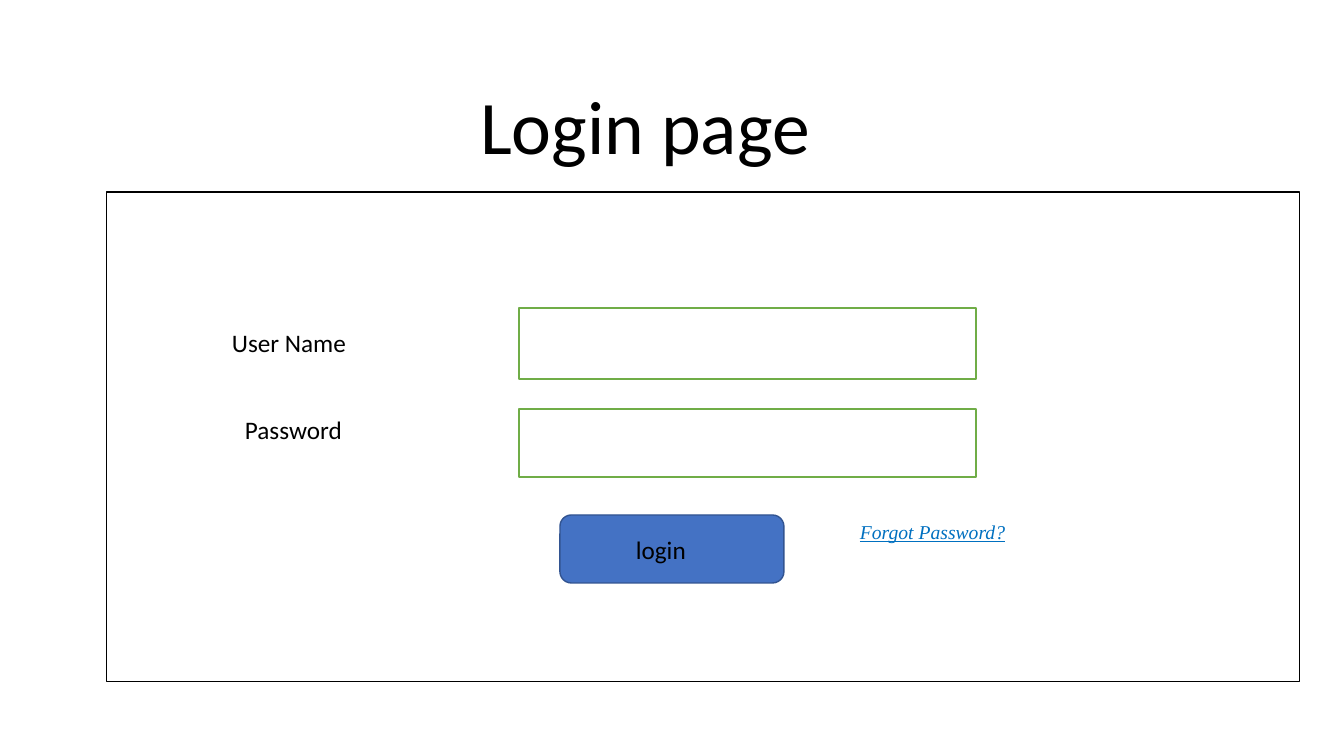
from pptx import Presentation
from pptx.dml.color import RGBColor
from pptx.enum.shapes import MSO_SHAPE
from pptx.enum.text import MSO_ANCHOR, PP_ALIGN
from pptx.util import Pt

SCALE = 914400 / 100.8
BODY = {"name": "Calibri", "size": Pt(18)}
HEAD = {"name": "Calibri", "size": Pt(54)}
LINK = {"name": "Times New Roman", "size": Pt(14), "italic": True, "underline": True}


def px(*sizes):
    return [round(size * SCALE) for size in sizes]


def paint(target, color):
    target.rgb = RGBColor.from_string(color)


def add_box(slide, kind, box, fill, line, width=1):
    shape = slide.shapes.add_shape(kind, *px(*box))
    shape.shadow.inherit = False
    if fill:
        shape.fill.solid()
        paint(shape.fill.fore_color, fill)
    else:
        shape.fill.background()
    paint(shape.line.color, line)
    shape.line.width = Pt(width)


def add_text(slide, box, text, style, color="000000"):
    frame = slide.shapes.add_textbox(*px(*box)).text_frame
    frame.word_wrap = True
    para = frame.paragraphs[0]
    run = para.add_run()
    run.text = text
    for name, value in style.items():
        setattr(run.font, name, value)
    paint(run.font.color, color)
    return frame


def add_title(slide, box):
    frame = add_text(slide, box, "Login page", HEAD)
    frame.vertical_anchor = MSO_ANCHOR.BOTTOM
    para = frame.paragraphs[0]
    para.alignment = PP_ALIGN.CENTER
    para.line_spacing = 0.9


def add_form(slide, box):
    left, top, width, height = box

    def place(x, y, w, h):
        return left + x, top + y, w, h

    for y, h in ((116, 71), (217, 68)):
        add_box(slide, MSO_SHAPE.RECTANGLE, place(412, y, 457, h), "FFFFFF", "70AD47")
    add_text(slide, place(115, 130, 241, 40), "User Name", BODY)
    add_text(slide, place(128, 217, 186, 40), "Password", BODY)
    add_box(slide, MSO_SHAPE.ROUNDED_RECTANGLE, place(453, 323, 224, 68), "4472C4", "325491")
    add_text(slide, place(519, 337, 92, 40), "login", BODY)
    add_text(slide, place(743, 323, 241, 34), "Forgot Password?", LINK, "0070C0")
    add_box(slide, MSO_SHAPE.RECTANGLE, box, None, "000000", 0.75)


def main():
    deck = Presentation()
    deck.slide_width, deck.slide_height = px(1344, 756)
    slide = deck.slides.add_slide(deck.slide_layouts[6])
    add_title(slide, (168, 124, 954, 52))
    add_form(slide, (107, 192, 1193, 490))
    deck.save("out.pptx")


if __name__ == "__main__":
    main()
